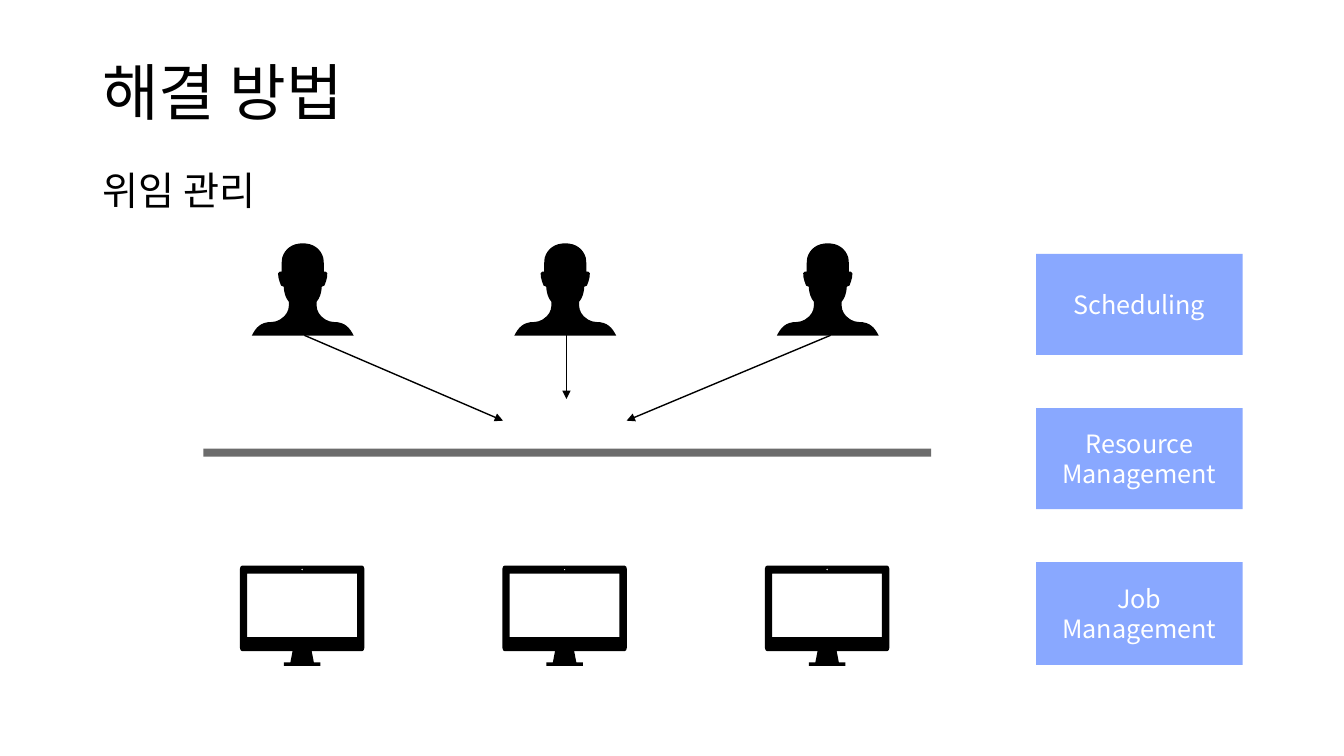
from typing import NamedTuple

from lxml.etree import SubElement
from pptx import Presentation
from pptx.dml.color import RGBColor
from pptx.enum.shapes import MSO_CONNECTOR as Connector, MSO_SHAPE as Preset
from pptx.enum.text import MSO_ANCHOR as Anchor, PP_ALIGN as Align
from pptx.oxml.ns import qn
from pptx.util import Pt

FONT = "Noto Sans CJK KR"
BLACK = RGBColor(0x00, 0x00, 0x00)
WHITE = RGBColor(0xFF, 0xFF, 0xFF)
GREY = RGBColor(0x6C, 0x6C, 0x6C)
BLUE = RGBColor(0x52, 0x7F, 0xFF)


class Role(NamedTuple):
    text: str
    top: float
    height: float


class Arrow(NamedTuple):
    x1: float
    y1: float
    x2: float
    y2: float


ROLES = [
    Role("Scheduling", 181.3, 72.2),
    Role("Resource\nManagement", 291.5, 72.2),
    Role("Job\nManagement", 401.5, 73.4),
]
ARROWS = [
    Arrow(217.4, 239.5, 359.3, 300.5),
    Arrow(593.3, 239.5, 447.6, 300.5),
    Arrow(404.6, 239, 404.6, 285),
]

# Right halves of symmetric icons: a pair is a corner, six numbers a Bézier curve
PERSON = [[
    (0, 0),
    (7.9, 0, 12.8, 4.2, 14.6, 10.1),
    (15.2, 13, 15.1, 16.5, 15, 20.2),
    (15.4, 20, 15.8, 20, 16.3, 20.2),
    (19, 20.2, 17, 26.6, 15.5, 30.2),
    (15, 31, 14.2, 31, 13.6, 31),
    (13.2, 36.7, 12, 39, 9.9, 41.8),
    (9.9, 44.6),
    (10, 48.2, 12, 51.8, 15.6, 54),
    (15.9, 54.2, 16.2, 54.4, 16.5, 54.6),
    (18.2, 55.5, 20, 56.2, 22, 56.2),
    (30.6, 56.2, 33.5, 60.5, 36.4, 65.9),
    (0, 65.9),
]]
MONITOR = [
    [(42.7, 0), (43.7, 0, 44.4, 1, 44.4, 2.2), (44.4, 58.8),
     (44.4, 60.2, 43.7, 61.2, 42.7, 61.2), (6.8, 61.2), (7, 62), (8.4, 69.2),
     (13, 69.2), (13, 71.6), (1.4, 71.6)],
    [(0, 2.2), (0.4, 2.2, 0.7, 2.5, 0.7, 2.9), (0.7, 3.3, 0.4, 3.6, 0, 3.6)],
    [(39.2, 5.7), (39.2, 51.2)],
]
PITCH = 187.5


def write(box, text: str, *, size: float, color: RGBColor, align=Align.LEFT,
          anchor=Anchor.TOP, spacing: float | None = None,
          inset: tuple[float, float] = (7.2, 3.6)) -> None:
    frame = box.text_frame
    frame.word_wrap = True
    frame.vertical_anchor = anchor
    frame.margin_left = frame.margin_right = Pt(inset[0])
    frame.margin_top = frame.margin_bottom = Pt(inset[1])
    for index, line in enumerate(text.split("\n")):
        para = frame.add_paragraph() if index else frame.paragraphs[0]
        para.alignment = align
        if spacing:
            para.line_spacing = spacing
        span = para.add_run()
        span.text = line
        span.font.size = Pt(size)
        span.font.name = FONT
        span.font.color.rgb = color


def fill_plain(shape, color: RGBColor) -> None:
    shape.shadow.inherit = False
    shape.fill.solid()
    shape.fill.fore_color.rgb = color
    shape.line.fill.background()


def add_block(page, left: float, top: float, width: float, height: float,
              color: RGBColor):
    block = page.shapes.add_shape(Preset.RECTANGLE, Pt(left), Pt(top), Pt(width), Pt(height))
    fill_plain(block, color)
    return block


def mirror(half: list[tuple]) -> list[tuple]:
    """Complete a right half with its reflection, walked backwards."""
    outline = list(half)
    end_x, end_y = half[-1][-2:]
    if end_x:
        outline.append((-end_x, end_y))
    for step, before in zip(half[:0:-1], half[-2::-1]):
        x, y = before[-2:]
        if len(step) == 2:
            outline.append((-x, y))
        else:
            outline.append((-step[2], step[3], -step[0], step[1], -x, y))
    return outline


def add_icon(page, halves: list[list[tuple]], centre: float, top: float) -> None:
    outlines = [mirror(half) for half in halves]
    builder = None
    for outline in outlines:
        points = [(Pt(centre + step[-2]), Pt(top + step[-1])) for step in outline]
        if builder is None:
            builder = page.shapes.build_freeform(*points[0])
        else:
            builder.move_to(*points[0])
        builder.add_line_segments(points[1:], close=False)
        builder.add_line_segments([], close=True)
    icon = builder.convert_to_shape()
    fill_plain(icon, BLACK)

    # Turn the segments that have control points into curves
    segments = list(icon._element.iter(qn("a:moveTo"), qn("a:lnTo")))
    steps = [step for outline in outlines for step in padded(outline)]
    for segment, step in zip(segments, steps):
        if len(step) == 6:
            segment.tag = qn("a:cubicBezTo")
            for index in (0, 1):
                x, y = step[2 * index:2 * index + 2]
                control = SubElement(segment, qn("a:pt"),
                                     x=str(Pt(centre + x) - icon.left),
                                     y=str(Pt(top + y) - icon.top))
                segment.insert(index, control)


def padded(outline: list[tuple]) -> list[tuple]:
    return outline


def add_arrow(page, arrow: Arrow) -> None:
    line = page.shapes.add_connector(Connector.STRAIGHT, *(Pt(value) for value in arrow))
    line.line.color.rgb = BLACK
    line.line.width = Pt(1)
    SubElement(line.line._get_or_add_ln(), qn("a:tailEnd"), type="triangle")
    SubElement(line._element.spPr, qn("a:effectLst"))


def main() -> None:
    deck = Presentation()
    deck.slide_width, deck.slide_height = Pt(960), Pt(540)
    page = deck.slides.add_slide(deck.slide_layouts[6])

    # Headings
    title = page.shapes.add_textbox(Pt(66), Pt(31.7), Pt(828), Pt(72.7))
    write(title, "해결 방법", size=44, color=BLACK, anchor=Anchor.MIDDLE, spacing=0.9)
    subtitle = page.shapes.add_textbox(Pt(66), Pt(118.8), Pt(828), Pt(367.2))
    write(subtitle, "위임 관리", size=28, color=BLACK, spacing=0.9)

    # Users above, computers below
    for column in range(3):
        add_icon(page, PERSON, 216.3 + column * PITCH, 173.8)
        add_icon(page, MONITOR, 215.8 + column * PITCH, 404)

    # Delegation layer between them
    for arrow in ARROWS:
        add_arrow(page, arrow)
    add_block(page, 145.2, 320.4, 519.9, 5.8, GREY)

    # Roles of the manager
    for role in ROLES:
        block = add_block(page, 740.1, role.top, 147.5, role.height, BLUE)
        tint = block.fill._xPr.find(qn("a:solidFill"))[0]
        SubElement(tint, qn("a:alpha"), val="68000")
        write(block, role.text, size=18, color=WHITE, align=Align.CENTER,
              anchor=Anchor.MIDDLE, inset=(4.3, 4.3))

    deck.save("out.pptx")


if __name__ == "__main__":
    main()
